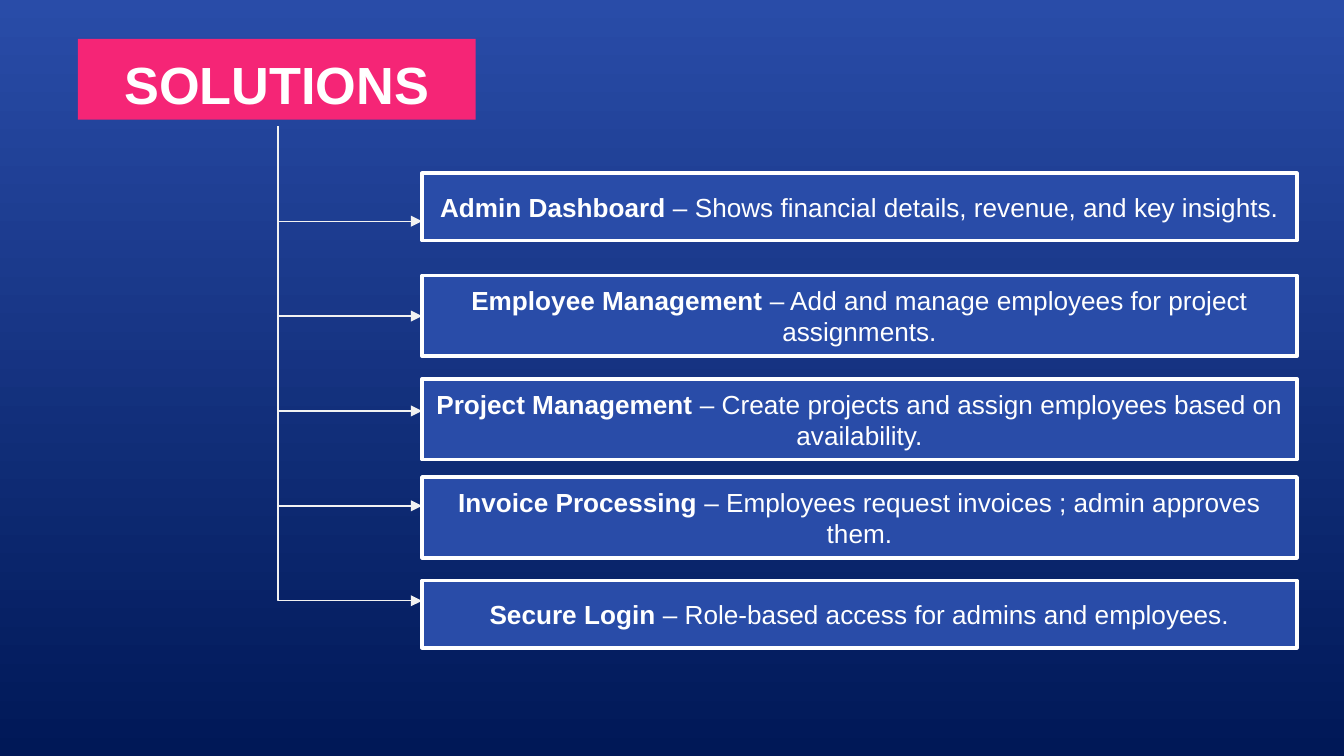
from pptx import Presentation
from pptx.dml.color import RGBColor
from pptx.enum import shapes, text
from pptx.oxml import ns
from pptx.util import Inches, Pt
from lxml import etree

WHITE = RGBColor(0xFF, 0xFF, 0xFF)
PALE = RGBColor(0xF2, 0xF2, 0xF2)
PINK = RGBColor(0xF5, 0x25, 0x76)
BLUE = RGBColor(0x29, 0x4C, 0xA8)
NAVY = RGBColor(0x00, 0x18, 0x57)

TRUNK_X, TRUNK_TOP, TRUNK_BOTTOM = 2.07, 0.94, 4.47
BOX_LEFT, BOX_WIDTH = 3.14, 6.51

# top, height, name, description
SOLUTIONS = [
    (1.29, 0.5, "Admin Dashboard",
     "Shows financial details, revenue, and key insights."),
    (2.05, 0.6, "Employee Management",
     "Add and manage employees for project assignments."),
    (2.82, 0.6, "Project Management",
     "Create projects and assign employees based on availability."),
    (3.55, 0.6, "Invoice Processing",
     "Employees request invoices ; admin approves them."),
    (4.32, 0.5, "Secure Login",
     "Role-based access for admins and employees."),
]
BRANCH_GAP = (TRUNK_BOTTOM - TRUNK_TOP) / len(SOLUTIONS)


def paint_background(page):
    fill = page.background.fill
    fill.gradient()
    fill.gradient_angle = 270
    for stop, color in zip(fill.gradient_stops, (BLUE, NAVY)):
        stop.color.rgb = color


def add_span(para, words, size=14, bold=False, color=WHITE, font="Arial"):
    span = para.add_run()
    span.text = words
    span.font.size = Pt(size)
    span.font.bold = bold
    span.font.name = font
    span.font.color.rgb = color


def add_box(page, left, top, width, height, fill, outline=None):
    """Add a filled rectangle and return it with its centred paragraph."""
    box = page.shapes.add_shape(
        shapes.MSO_SHAPE.RECTANGLE,
        Inches(left), Inches(top), Inches(width), Inches(height))
    box.shadow.inherit = False
    box.fill.solid()
    box.fill.fore_color.rgb = fill
    if outline is None:
        box.line.fill.background()
    else:
        box.line.color.rgb = outline
        box.line.width = Pt(2)
    box.text_frame.word_wrap = True
    box.text_frame.vertical_anchor = text.MSO_ANCHOR.MIDDLE
    para = box.text_frame.paragraphs[0]
    para.alignment = text.PP_ALIGN.CENTER
    return box, para


def add_title(page, words):
    box, para = add_box(page, 0.58, 0.29, 2.96, 0.6, PINK)
    frame = box.text_frame
    frame.vertical_anchor = text.MSO_ANCHOR.TOP
    frame.margin_top, frame.margin_bottom = Inches(0.1), 0
    add_span(para, words, size=28, bold=True)


def add_branch(page, top):
    """Add an arrow that runs down the trunk, then right to a box."""
    run, drop = BOX_LEFT - TRUNK_X, BRANCH_GAP
    # The frame is turned by 270 degrees, so its sides are swapped.
    left = TRUNK_X + (run - drop) / 2
    frame_top = top + (drop - run) / 2
    branch = page.shapes.add_connector(
        shapes.MSO_CONNECTOR.ELBOW,
        Inches(left + drop), Inches(frame_top),
        Inches(left), Inches(frame_top + run))
    branch.line.color.rgb = PALE
    branch.line.width = Pt(0.75)
    props = branch._element.spPr
    props.find(ns.qn("a:xfrm")).set("rot", str(270 * 60000))
    props.find(ns.qn("a:prstGeom")).set("prst", "bentConnector2")
    etree.SubElement(props.find(ns.qn("a:ln")), ns.qn("a:tailEnd"),
                     type="triangle")
    etree.SubElement(props, ns.qn("a:effectLst"))


def add_solution(page, top, height, name, description):
    _, para = add_box(page, BOX_LEFT, top, BOX_WIDTH, height, BLUE, WHITE)
    add_span(para, name, bold=True)
    add_span(para, f" – {description}")


def main():
    deck = Presentation()
    deck.slide_width = Inches(10)
    deck.slide_height = deck.slide_width * 9 // 16
    page = deck.slides.add_slide(deck.slide_layouts[6])
    paint_background(page)
    add_title(page, "SOLUTIONS")
    for index, solution in enumerate(SOLUTIONS):
        add_branch(page, TRUNK_TOP + index * BRANCH_GAP)
        add_solution(page, *solution)
    deck.save("out.pptx")


if __name__ == "__main__":
    main()
